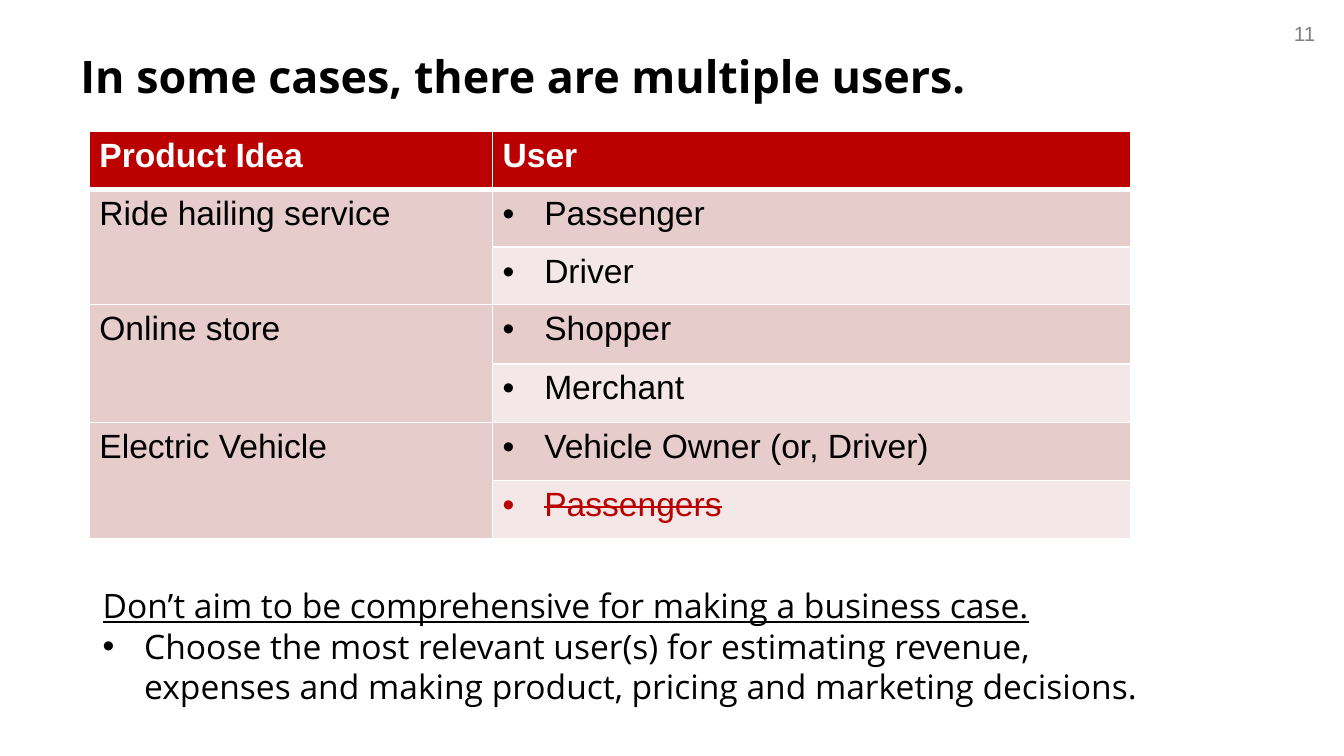
from dataclasses import dataclass

from lxml import etree
from pptx import Presentation
from pptx.dml.color import RGBColor
from pptx.enum.text import MSO_ANCHOR, PP_ALIGN
from pptx.oxml.ns import qn
from pptx.util import Pt

PX = 4572  # 200 px to the inch
LEFT, RIGHT = PP_ALIGN.LEFT, PP_ALIGN.RIGHT
TOP = MSO_ANCHOR.TOP


@dataclass(frozen=True)
class Theme:
    red: str = "BB0000"
    rose: str = "E7CCCC"
    pale: str = "F3E7E7"
    white: str = "FFFFFF"
    black: str = "000000"
    gray: str = "808080"
    sans: str = "Arial"
    open: str = "Open Sans"
    title: int = 24
    body: int = 18
    small: int = 11


class Deck:
    def __init__(self, theme, wide, high):
        self.theme = theme
        self.prs = Presentation()
        self.prs.slide_width, self.prs.slide_height = wide * PX, high * PX
        self.slide = self.prs.slides.add_slide(self.prs.slide_layouts[6])

    def run(self, para, text, size, font, color, bold=False, under=False, strike=False):
        run = para.add_run()
        run.text = text
        face = run.font
        face.size, face.name = Pt(size), font
        face.bold, face.underline = bold, under
        face.color.rgb = RGBColor.from_string(color)
        if strike:
            run._r.get_or_add_rPr().set("strike", "sngStrike")

    def bullet(self, para, indent=62):
        props = para._p.get_or_add_pPr()
        props.set("marL", str(indent * PX))
        props.set("indent", str(-indent * PX))
        etree.SubElement(props, qn("a:buFont"), typeface=self.theme.sans)
        etree.SubElement(props, qn("a:buChar"), char="•")

    def box(self, x, y, w, h, align=LEFT):
        """Add a text box and return its frame."""
        shape = self.slide.shapes.add_textbox(x * PX, y * PX, w * PX, h * PX)
        frame = shape.text_frame
        frame.word_wrap = True
        frame.vertical_anchor = TOP
        frame.paragraphs[0].alignment = align
        return frame

    def edge(self, cell, side, width):
        line = etree.SubElement(cell._tc.get_or_add_tcPr(), qn("a:ln" + side), w=str(Pt(width)))
        fill = etree.SubElement(line, qn("a:solidFill"))
        etree.SubElement(fill, qn("a:srgbClr"), val=self.theme.white)

    def cell(self, cell, fill, top=1, bottom=1):
        """Set borders, fill and margins; borders must come first in the XML."""
        for side, width in zip("LRTB", (1, 1, top, bottom)):
            self.edge(cell, side, width)
        cell.fill.solid()
        cell.fill.fore_color.rgb = RGBColor.from_string(fill)
        cell.margin_left = cell.margin_right = 15 * PX
        cell.margin_top = cell.margin_bottom = 8 * PX
        return cell.text_frame.paragraphs[0]

    def table(self, x, y, cols, rows, heads, groups):
        """Each group is a name, merged over its rows, and its users with a dropped flag."""
        th = self.theme
        shape = self.slide.shapes.add_table(
            len(rows), len(cols), x * PX, y * PX, sum(cols) * PX, sum(rows) * PX)
        grid = shape.table
        for col, width in zip(grid.columns, cols):
            col.width = width * PX
        for row, height in zip(grid.rows, rows):
            row.height = height * PX
        for col, head in enumerate(heads):
            para = self.cell(grid.cell(0, col), th.red, bottom=3)
            self.run(para, head, th.body, th.sans, th.white, bold=True)
        row = 1
        for name, users in groups:
            first = row
            for user, gone in users:
                top = 3 if row == 1 else 1
                fill = th.rose if row == first else th.pale
                label = self.cell(grid.cell(row, 0), th.rose, top)
                if row == first:
                    self.run(label, name, th.body, th.sans, th.black)
                para = self.cell(grid.cell(row, 1), fill, top)
                self.bullet(para)
                color = th.red if gone else th.black
                self.run(para, user, th.body, th.sans, color, strike=gone)
                row += 1
            grid.cell(first, 0).merge(grid.cell(row - 1, 0))


def main():
    th = Theme()
    deck = Deck(th, 2000, 1125)

    page = deck.box(1867, 22, 110, 58, RIGHT)
    deck.run(page.paragraphs[0], "11", th.small, th.sans, th.gray)

    title = deck.box(100, 63, 1834, 134)
    deck.run(title.paragraphs[0], "In some cases, there are multiple users.",
             th.title, th.open, th.black, bold=True)

    deck.table(133, 196, (600, 950), (86, 86, 85, 89, 87, 86, 87), ("Product Idea", "User"), (
        ("Ride hailing service", (("Passenger", False), ("Driver", False))),
        ("Online store", (("Shopper", False), ("Merchant", False))),
        ("Electric Vehicle", (("Vehicle Owner (or, Driver)", False), ("Passengers", True))),
    ))

    note = deck.box(133, 861, 1600, 202)
    lead, tip = note.paragraphs[0], note.add_paragraph()
    deck.run(lead, "Don’t aim to be comprehensive for making a business case.",
             th.body, th.open, th.black, under=True)
    deck.bullet(tip)
    deck.run(tip, "Choose the most relevant user(s) for estimating revenue, expenses "
             "and making product, pricing and marketing decisions.",
             th.body, th.open, th.black)

    deck.prs.save("out.pptx")


if __name__ == "__main__":
    main()
